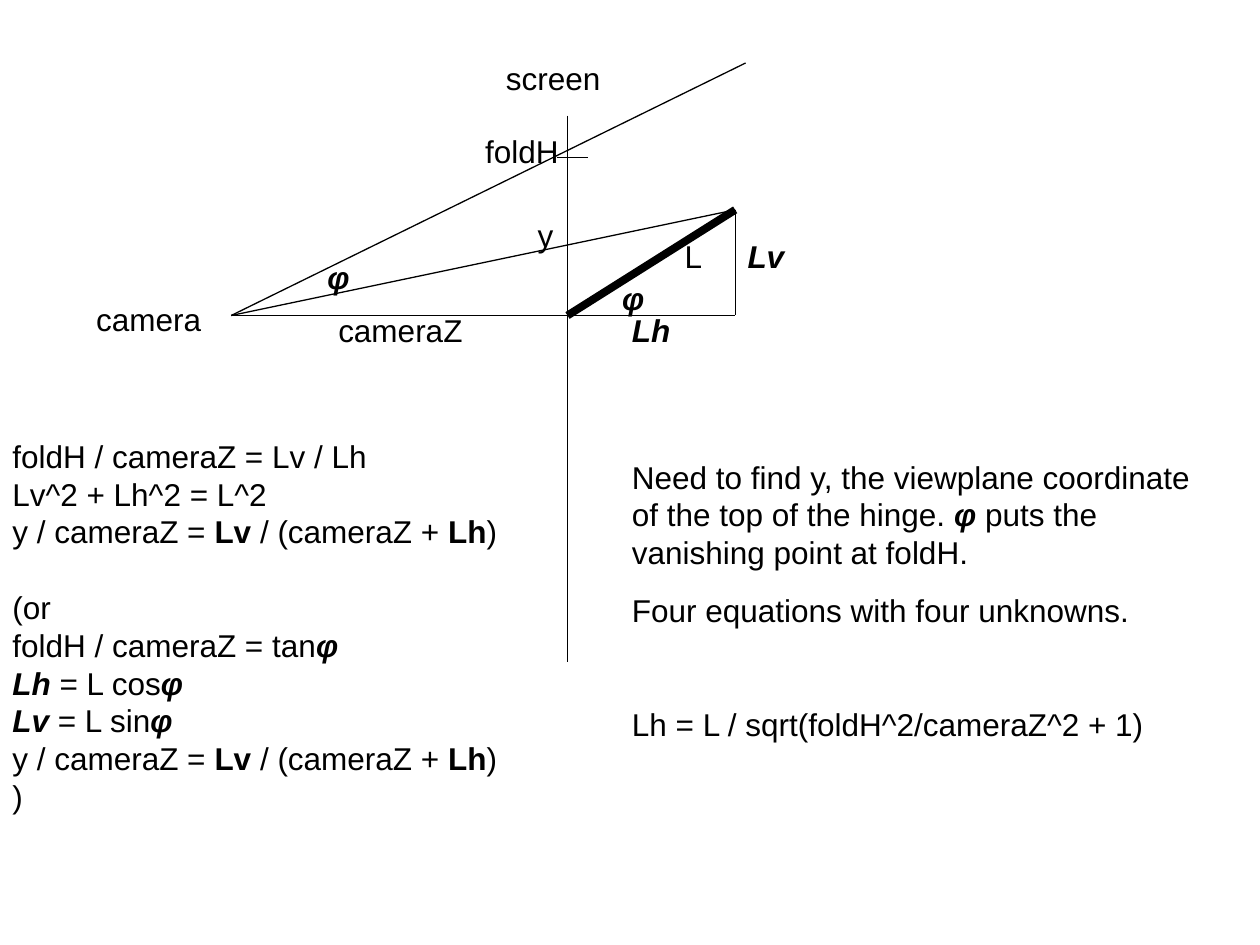
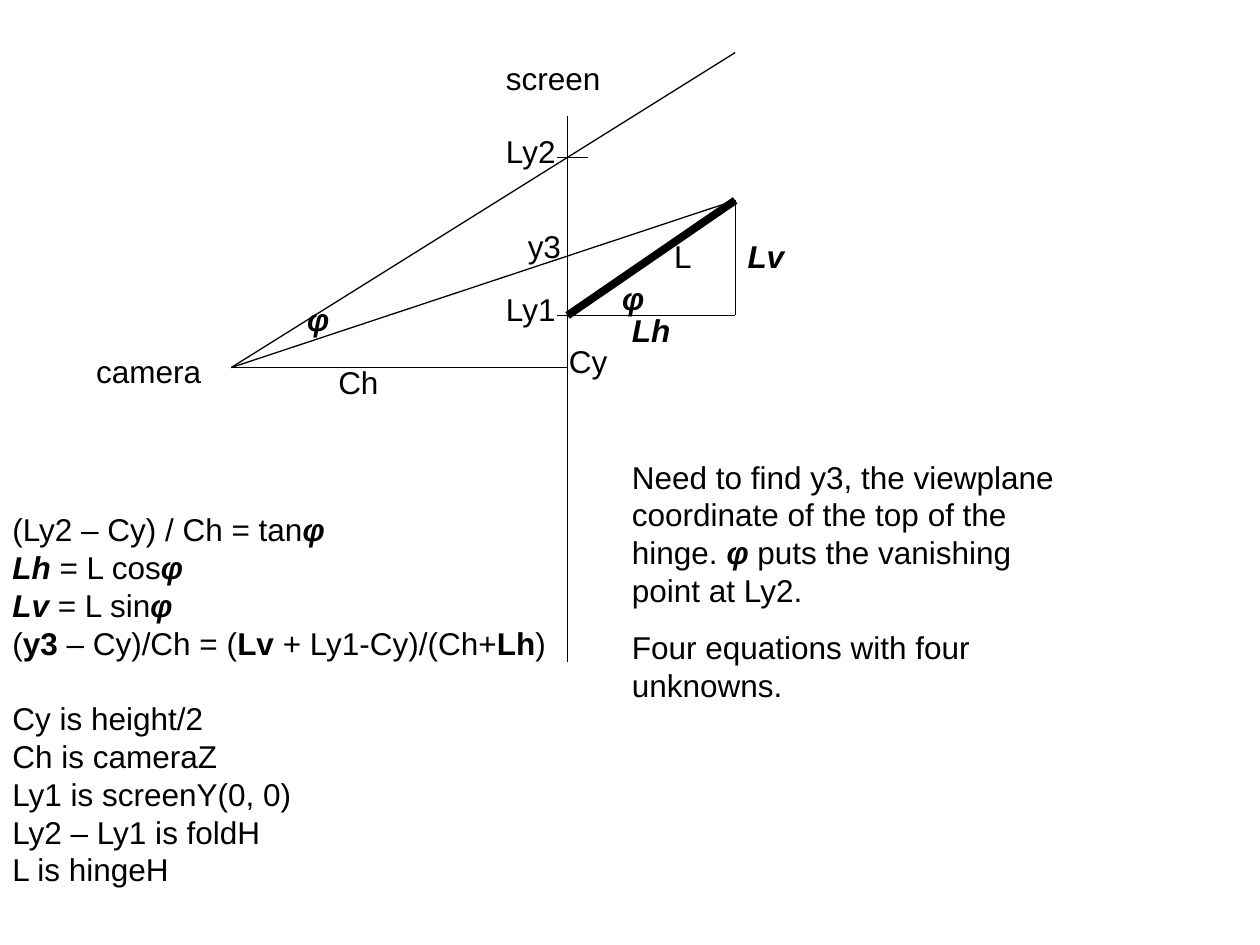
from lxml.etree import SubElement
from pptx import Presentation
from pptx.dml.color import RGBColor
from pptx.enum.shapes import MSO_CONNECTOR
from pptx.enum.text import MSO_AUTO_SIZE as AutoSize
from pptx.oxml.ns import qn
from pptx.util import Cm, Pt

INK = "000000"
FONT = "Arial"
FONT_SIZE = 18
BLANK_LINE = 21.6
PARAGRAPH_GAP = 11.2

CAMERA_X = 4.66
SCREEN_X = 11.44
HINGE_X = 14.82
HINGE_Y = 6.36
FOLD_Y = 3.18
TICK_LEFT = 11.22
LABEL_HEIGHT = 1.02
WIDE_LABEL = 2.75
ANGLE_WIDTH = 1.1
NOTES_LEFT, NOTES_TOP = 12.49, 9.1


def color(hex_string):
    return RGBColor.from_string(hex_string)


def add_line(slide, start, end, width=0.75):
    points = [Cm(value) for value in (*start, *end)]
    connector = slide.shapes.add_connector(MSO_CONNECTOR.STRAIGHT, *points)
    connector.line.color.rgb = color(INK)
    connector.line.width = Pt(width)
    SubElement(connector._element.spPr, qn("a:effectLst"))


def add_runs(paragraph, text):
    """*...* marks bold, ~...~ marks bold italic."""
    for i, chunk in enumerate(text.split("~")):
        for j, piece in enumerate(chunk.split("*")):
            if piece:
                run = paragraph.add_run()
                run.text = piece
                if i % 2 or j % 2:
                    run.font.bold = True
                if i % 2:
                    run.font.italic = True


def add_text(slide, left, top, width, height, paragraphs):
    box = slide.shapes.add_textbox(Cm(left), Cm(top), Cm(width), Cm(height))
    frame = box.text_frame
    frame.word_wrap = True
    frame.auto_size = AutoSize.SHAPE_TO_FIT_TEXT
    for index, (text, space_before) in enumerate(paragraphs):
        paragraph = frame.add_paragraph() if index else frame.paragraphs[0]
        paragraph.space_before = Pt(space_before)
        paragraph.font.name = FONT
        paragraph.font.size = Pt(FONT_SIZE)
        paragraph.font.color.rgb = color(INK)
        add_runs(paragraph, text)


def add_label(slide, text, left, top, width):
    add_text(slide, left, top, width, LABEL_HEIGHT, [(text, 0)])


def add_equations(slide, top, height, groups):
    paragraphs = []
    for group in groups:
        for index, line in enumerate(group):
            starts_later_group = paragraphs and index == 0
            paragraphs.append((line, BLANK_LINE if starts_later_group else 0))
    add_text(slide, 0, top, 11.68, height, paragraphs)


def add_hinge_diagram(slide, camera_y, hinge_top, sight_end, distance, distance_width):
    camera = (CAMERA_X, camera_y)
    hinge = (SCREEN_X, HINGE_Y)
    hinge_end = (HINGE_X, hinge_top)

    add_line(slide, camera, (SCREEN_X, camera_y))
    add_line(slide, (SCREEN_X, 2.33), (SCREEN_X, 13.34))
    add_line(slide, (TICK_LEFT, FOLD_Y), (11.85, FOLD_Y))
    add_line(slide, (TICK_LEFT, HINGE_Y), (HINGE_X, HINGE_Y))
    add_line(slide, camera, sight_end)
    add_line(slide, hinge, hinge_end, 4.5)
    add_line(slide, hinge_end, (HINGE_X, HINGE_Y))
    add_line(slide, camera, hinge_end)

    add_label(slide, "camera", 1.69, camera_y - 0.43, WIDE_LABEL)
    add_label(slide, "screen", 9.95, 1.06, WIDE_LABEL)
    add_label(slide, "~Lv~", HINGE_X, 4.66, 2.12)
    add_label(slide, "~Lh~", 12.49, 6.14, 1.5)
    add_label(slide, "~φ~", 12.29, 5.5, ANGLE_WIDTH)
    add_label(slide, distance, 6.57, camera_y - 0.21, distance_width)


def add_camera_level_slide(slide):
    add_hinge_diagram(slide, HINGE_Y, 4.23, (15.03, 1.27), "cameraZ", 3.2)
    add_label(slide, "L", 13.55, 4.66, WIDE_LABEL)
    add_label(slide, "~φ~", 6.35, 5.08, ANGLE_WIDTH)
    add_label(slide, "foldH", 9.53, 2.54, 2.2)
    add_label(slide, "y", 10.59, 4.23, 1)

    projection = "y / cameraZ = *Lv* / (cameraZ + *Lh*)"
    add_equations(slide, 8.68, 10.16, [
        ["foldH / cameraZ = Lv / Lh", "Lv^2 + Lh^2 = L^2", projection],
        ["(or", "foldH / cameraZ = tan~φ~", "~Lh~ = L cos~φ~",
         "~Lv~ = L sin~φ~", projection, ")"],
    ])
    add_text(slide, NOTES_LEFT, NOTES_TOP, 12.07, 6.02, [
        ("Need to find y, the viewplane coordinate of the top of the hinge. "
         "~φ~ puts the vanishing point at foldH.", 0),
        ("Four equations with four unknowns.", PARAGRAPH_GAP),
        ("Lh = L / sqrt(foldH^2/cameraZ^2 + 1)", 2 * PARAGRAPH_GAP + BLANK_LINE),
    ])


def add_camera_below_slide(slide):
    add_hinge_diagram(slide, 7.41, 4.04, (HINGE_X, 1.06), "Ch", 1.5)
    add_label(slide, "L", 13.34, 4.66, WIDE_LABEL)
    add_label(slide, "~φ~", 5.94, 5.93, ANGLE_WIDTH)
    add_label(slide, "Cy", 11.22, 6.77, 1.5)
    add_label(slide, "Ly2", 9.95, 2.54, 1.7)
    add_label(slide, "Ly1", 9.95, 5.72, 1.7)
    add_label(slide, "y3", 10.39, 4.45, 1.4)

    add_equations(slide, 10.16, 9.4, [
        ["(Ly2 – Cy) / Ch = tan~φ~", "~Lh~ = L cos~φ~", "~Lv~ = L sin~φ~",
         "(*y3* – Cy)/Ch = (*Lv* + Ly1-Cy)/(Ch+*Lh*)"],
        ["Cy is height/2", "Ch is cameraZ", "Ly1 is screenY(0, 0)",
         "Ly2 – Ly1 is foldH", "L is hingeH"],
    ])
    add_text(slide, NOTES_LEFT, NOTES_TOP, 9.53, 5.23, [
        ("Need to find y3, the viewplane coordinate of the top of the hinge. "
         "~φ~ puts the vanishing point at Ly2.", 0),
        ("Four equations with four unknowns.", PARAGRAPH_GAP),
    ])


def main():
    presentation = Presentation()
    presentation.slide_width = Cm(25.4)
    presentation.slide_height = Cm(19.05)
    blank_layout = presentation.slide_layouts[6]
    for build in (add_camera_level_slide, add_camera_below_slide):
        build(presentation.slides.add_slide(blank_layout))
    presentation.save("out.pptx")


if __name__ == "__main__":
    main()
